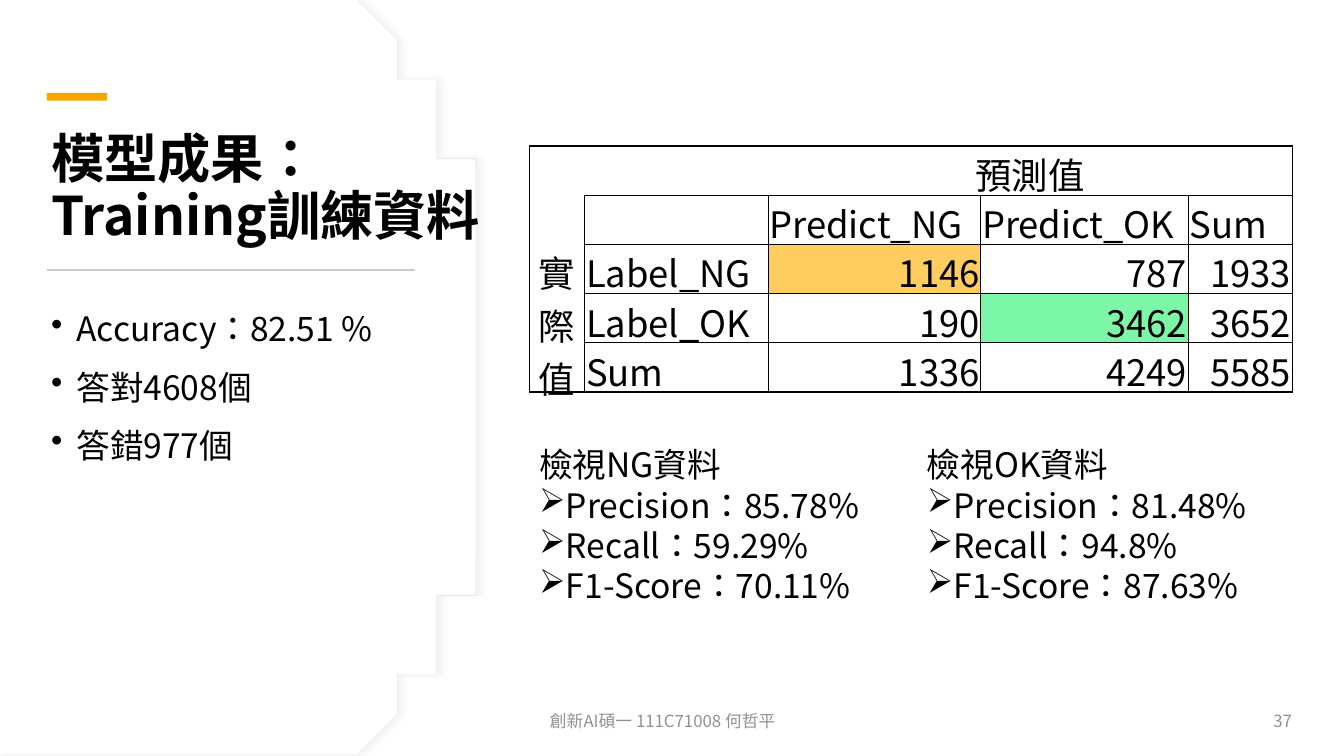
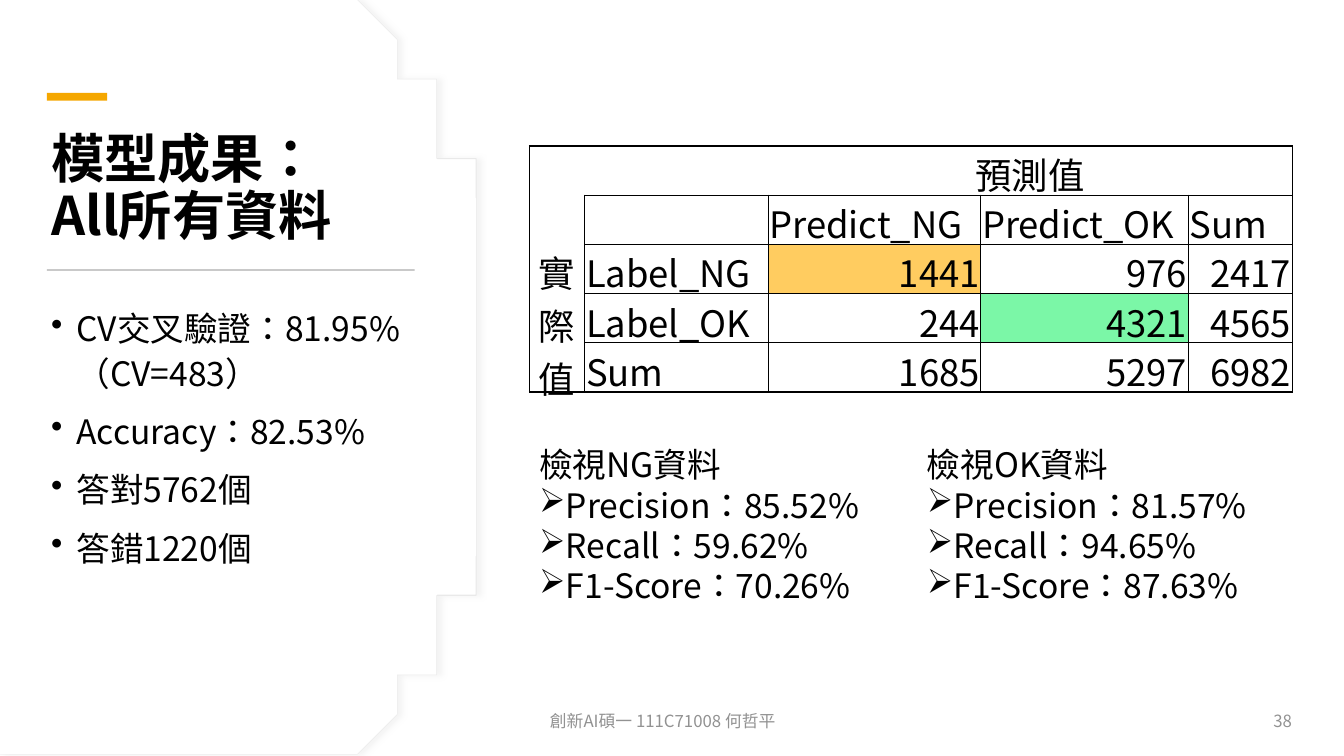
from dataclasses import dataclass

from lxml.etree import SubElement
from pptx import Presentation
from pptx.dml.color import RGBColor
from pptx.enum.lang import MSO_LANGUAGE_ID as Language
from pptx.enum.shapes import MSO_SHAPE as Preset
from pptx.enum.text import MSO_ANCHOR as Anchor, PP_ALIGN as Align
from pptx.oxml.ns import qn
from pptx.util import Cm, Pt


@dataclass(frozen=True)
class Theme:
    font: str = "Noto Sans CJK SC"
    paper: str = "FFFFFF"
    ink: str = "000000"
    muted: str = "929292"
    accent: str = "F5A700"
    rule: str = "C9C9C9"
    outline: str = "E9E9E9"
    shadow: str = "D9D9D9"
    ng_hit: str = "FFCC60"
    ok_hit: str = "7BF7A7"
    title_size: int = 38
    table_size: int = 26
    body_size: int = 24
    footer_size: int = 12


THEME = Theme()
FOOTER = "創新AI碩一 111C71008 何哲平"
METRICS = ("Precision", "Recall", "F1-Score")
COLUMN_WIDTHS = (1.4, 4.62, 5.36, 5.23, 2.62)
ROW_HEIGHT = 1.24
CONTENT_LEFT = 13.34
TEXT_LEFT = 1.04

RESULTS = (
    {
        "number": 37,
        "title": "模型成果：\vTraining訓練資料",
        "body_width": 9.55,
        "points": ("Accuracy：82.51 %", "答對4608個", "答錯977個"),
        "counts": ((1146, 787), (190, 3462)),
        "scores": {"NG": ("85.78%", "59.29%", "70.11%"), "OK": ("81.48%", "94.8%", "87.63%")},
    },
    {
        "number": 38,
        "title": "模型成果：\vAll所有資料",
        "body_width": 11.53,
        "points": ("CV交叉驗證：81.95%\v（CV=483）", "Accuracy：82.53%", "答對5762個", "答錯1220個"),
        "counts": ((1441, 976), (244, 4321)),
        "scores": {"NG": ("85.52%", "59.62%", "70.26%"), "OK": ("81.57%", "94.65%", "87.63%")},
    },
)


def style_paragraph(paragraph, size, color=THEME.ink, bold=False, align=Align.LEFT):
    paragraph.alignment = align
    for run in paragraph.runs:
        font = run.font
        font.name = THEME.font
        font.size = Pt(size)
        font.bold = bold
        font.color.rgb = RGBColor.from_string(color)
        font.language_id = Language.TRADITIONAL_CHINESE
        SubElement(font._element, qn("a:ea")).set("typeface", THEME.font)


def add_text(slide, box, lines, size, anchor=Anchor.TOP, **style):
    frame = slide.shapes.add_textbox(*map(Cm, box)).text_frame
    frame.word_wrap = True
    frame.vertical_anchor = anchor
    frame.text = "\n".join(lines)
    for paragraph in frame.paragraphs:
        style_paragraph(paragraph, size, **style)
    return frame.paragraphs


def add_bullet(paragraph, symbol, indent=0):
    properties = paragraph._p.get_or_add_pPr()
    properties.set("marL", str(Cm(indent)))
    properties.set("indent", str(-Cm(indent)))
    SubElement(properties, qn("a:buChar")).set("char", symbol)


def fill_shape(shape, color):
    shape.shadow.inherit = False
    shape.fill.solid()
    shape.fill.fore_color.rgb = RGBColor.from_string(color)
    shape.line.fill.background()


def add_bar(slide, box, color):
    fill_shape(slide.shapes.add_shape(Preset.RECTANGLE, *map(Cm, box)), color)


def curve_points(start, first, second, end, steps=30):
    for step in range(1, steps + 1):
        t = step / steps
        weights = ((1 - t) ** 3, 3 * t * (1 - t) ** 2, 3 * t * t * (1 - t), t ** 3)
        yield tuple(
            sum(weight * value for weight, value in zip(weights, values))
            for values in zip(start, first, second, end)
        )


def add_panel(slide, right):
    height, middle = 19.05, 9.525
    upper = [(right - 3.35, 0), (right - 3.18, 0.2)]
    upper += curve_points(upper[-1], (right - 1.22, 2.59), (right, 5.89), (right, middle))
    lower = [(x, height - y) for x, y in reversed(upper[:-1])]
    builder = slide.shapes.build_freeform(0, 0, scale=Cm(1))
    builder.add_line_segments(upper + lower + [(0, height)], close=True)
    panel = builder.convert_to_shape()
    fill_shape(panel, THEME.paper)
    return panel


def add_outline(panel):
    panel.line.color.rgb = RGBColor.from_string(THEME.outline)
    panel.line.width = Pt(0.75)
    effects = panel._element.spPr.find(qn("a:effectLst"))
    shadow = SubElement(effects, qn("a:outerShdw"), blurRad=str(Pt(4)), dist=str(Pt(3)), dir="0")
    color = SubElement(shadow, qn("a:srgbClr"), val=THEME.shadow)
    SubElement(color, qn("a:alpha"), val="30000")


def set_borders(cell, row, column):
    right, bottom = column + cell.span_width, row + cell.span_height
    shown = {
        "a:lnL": column == 0 or row > 0,
        "a:lnR": right == 5 or row > 0,
        "a:lnT": row == 0 or column > 0,
        "a:lnB": bottom == 5 or column > 0,
    }
    properties = cell._tc.get_or_add_tcPr()
    for tag, visible in shown.items():
        line = SubElement(properties, qn(tag), w=str(Pt(1)))
        if visible:
            fill = SubElement(line, qn("a:solidFill"))
            SubElement(fill, qn("a:srgbClr"), val=THEME.ink)
        else:
            SubElement(line, qn("a:noFill"))


def style_cell(cell, row, column, value):
    set_borders(cell, row, column)
    cell.margin_left = cell.margin_right = cell.margin_top = Cm(0.03)
    cell.margin_bottom = 0
    cell.vertical_anchor = Anchor.MIDDLE
    highlight = {(2, 2): THEME.ng_hit, (3, 3): THEME.ok_hit}.get((row, column))
    if highlight:
        cell.fill.solid()
        cell.fill.fore_color.rgb = RGBColor.from_string(highlight)
    else:
        cell.fill.background()
    align = Align.LEFT
    if cell.is_merge_origin:
        align = Align.CENTER
    elif isinstance(value, int):
        align = Align.RIGHT
    cell.text_frame.text = str(value)
    style_paragraph(cell.text_frame.paragraphs[0], THEME.table_size, align=align)


def confusion_rows(counts):
    rows = [[*row, sum(row)] for row in counts]
    rows.append([sum(column) for column in zip(*rows)])
    labels = ("Label_NG", "Label_OK", "Sum")
    sides = ("實\v際\v值", "", "")
    return [
        ["", "", "預測值", "", ""],
        ["", "", "Predict_NG", "Predict_OK", "Sum"],
        *([side, label, *row] for side, label, row in zip(sides, labels, rows)),
    ]


def add_confusion_table(slide, counts):
    rows = confusion_rows(counts)
    box = (CONTENT_LEFT, 3.68, sum(COLUMN_WIDTHS), ROW_HEIGHT * len(rows))
    table = slide.shapes.add_table(len(rows), len(COLUMN_WIDTHS), *map(Cm, box)).table
    table.first_row = table.horz_banding = False
    for column, width in zip(table.columns, COLUMN_WIDTHS):
        column.width = Cm(width)
    for row in table.rows:
        row.height = Cm(ROW_HEIGHT)
    table.cell(0, 2).merge(table.cell(0, 4))
    table.cell(2, 0).merge(table.cell(4, 0))
    for row, values in enumerate(rows):
        for column, value in enumerate(values):
            style_cell(table.cell(row, column), row, column, value)


def add_scores(slide, left, label, scores):
    lines = [f"檢視{label}資料", *(f"{name}：{score}" for name, score in zip(METRICS, scores))]
    paragraphs = add_text(slide, (left, 11.07, 9.58, 5.38), lines, THEME.body_size)
    for paragraph in paragraphs[1:]:
        add_bullet(paragraph, "➢")


def add_frame(slide, number):
    add_outline(add_panel(slide, 12.37))
    add_panel(slide, 12.34)
    add_bar(slide, (1.18, 2.34, 1.52, 0.2), THEME.accent)
    add_bar(slide, (1.18, 6.78, 9.27, 0.05), THEME.rule)
    footers = ((13.61, 11.43, FOOTER, Align.LEFT), (26.92, 5.89, str(number), Align.RIGHT))
    for left, width, text, align in footers:
        add_text(slide, (left, 17.65, width, 1.02), [text], THEME.footer_size,
                 Anchor.MIDDLE, color=THEME.muted, align=align)


def add_result_slide(presentation, result):
    slide = presentation.slides.add_slide(presentation.slide_layouts[6])
    add_frame(slide, result["number"])
    title = add_text(slide, (TEXT_LEFT, 3.23, 12.88, 3.12), [result["title"]],
                     THEME.title_size, Anchor.BOTTOM, bold=True)
    title[0].line_spacing = 0.9
    points = add_text(slide, (TEXT_LEFT, 7.54, result["body_width"], 8.92),
                      result["points"], THEME.body_size)
    for paragraph in points:
        paragraph.line_spacing = 1.1
        paragraph.space_before = Pt(10)
        add_bullet(paragraph, "•", 0.64)
    for index, (label, scores) in enumerate(result["scores"].items()):
        add_scores(slide, CONTENT_LEFT + 9.77 * index, label, scores)
    add_confusion_table(slide, result["counts"])


def main():
    presentation = Presentation()
    presentation.slide_width = Cm(33.87)
    presentation.slide_height = Cm(19.05)
    for result in RESULTS:
        add_result_slide(presentation, result)
    presentation.save("out.pptx")


if __name__ == "__main__":
    main()
